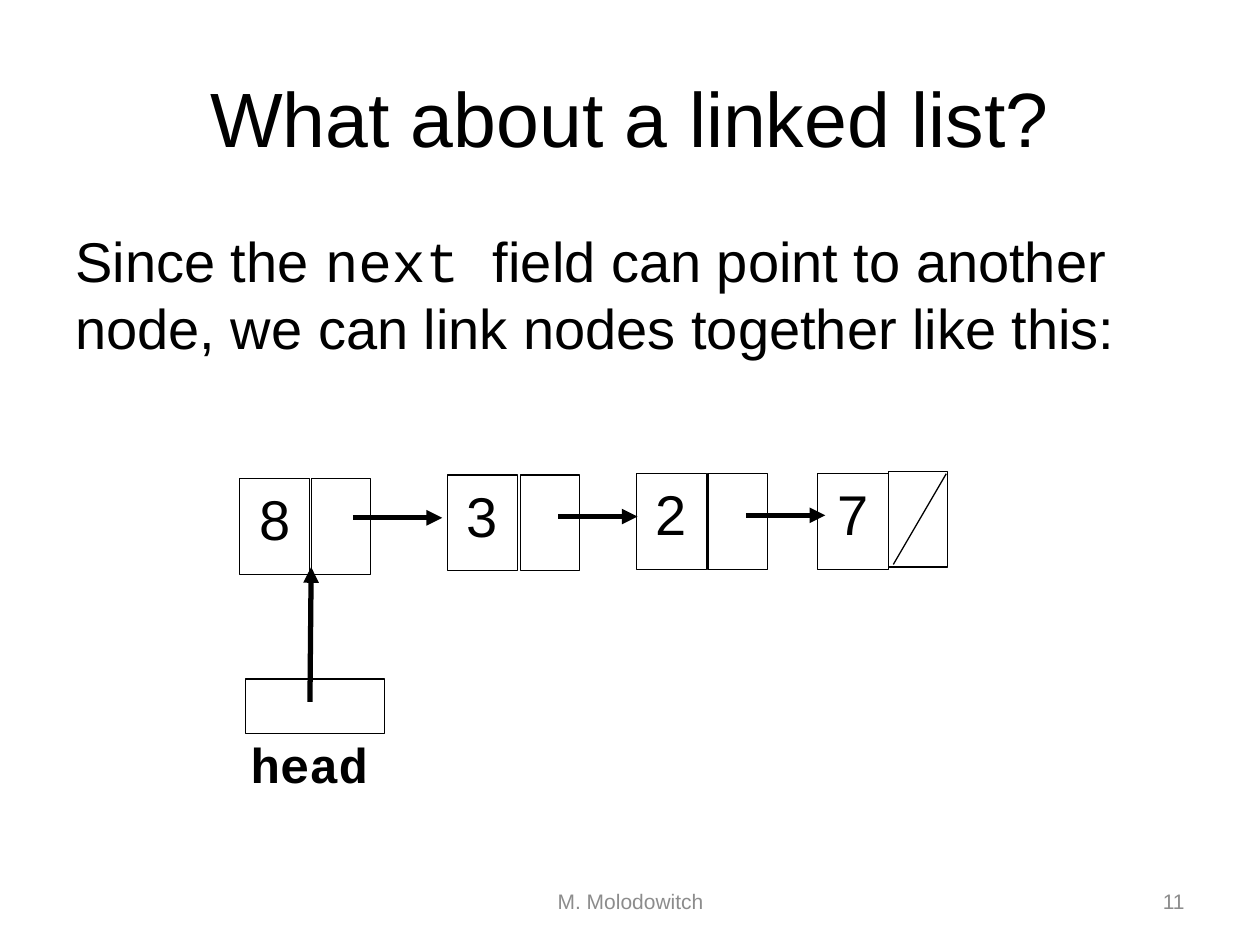
from lxml.etree import SubElement
from pptx import Presentation
from pptx.dml.color import RGBColor
from pptx.enum.shapes import MSO_CONNECTOR, MSO_SHAPE
from pptx.enum.text import MSO_ANCHOR, PP_ALIGN
from pptx.oxml.ns import qn
from pptx.util import Inches, Pt

BLACK = RGBColor(0, 0, 0)
WHITE = RGBColor(255, 255, 255)
GRAY = RGBColor(0x8C, 0x8C, 0x8C)

CELL_HEIGHT = 0.76
DATA_WIDTH = 0.56
NEXT_WIDTH = 0.47

presentation = Presentation()
presentation.slide_width = Inches(10)
presentation.slide_height = Inches(7.5)
slide = presentation.slides.add_slide(presentation.slide_layouts[6])


def add_text(text, left, top, width, height, size=32, color=BLACK, font="Arial",
             bold=False, align=PP_ALIGN.LEFT, anchor=MSO_ANCHOR.TOP,
             box_line=None, inset=None, space_before=0):
    """Add text, a string or (string, font) runs; box_line in points draws a box."""
    bounds = [Inches(value) for value in (left, top, width, height)]
    if box_line is None:
        shape = slide.shapes.add_textbox(*bounds)
    else:
        shape = slide.shapes.add_shape(MSO_SHAPE.RECTANGLE, *bounds)
        shape.shadow.inherit = False
        shape.fill.solid()
        shape.fill.fore_color.rgb = WHITE
        shape.line.color.rgb = BLACK
        shape.line.width = Pt(box_line)
    frame = shape.text_frame
    frame.word_wrap = True
    frame.vertical_anchor = anchor
    if inset is not None:
        frame.margin_left = frame.margin_right = Inches(inset)
        frame.margin_top = frame.margin_bottom = Inches(inset)
    paragraph = frame.paragraphs[0]
    paragraph.alignment = align
    paragraph.space_before = Pt(space_before)
    for content, name in [(text, font)] if isinstance(text, str) else text:
        run = paragraph.add_run()
        run.text = content
        run.font.name = name
        run.font.size = Pt(size)
        run.font.bold = bold
        run.font.color.rgb = color


def add_line(start, end, width, arrow=False):
    points = [Inches(value) for value in (*start, *end)]
    connector = slide.shapes.add_connector(MSO_CONNECTOR.STRAIGHT, *points)
    connector.line.color.rgb = BLACK
    connector.line.width = Pt(width)
    if arrow:
        SubElement(connector.line._get_or_add_ln(), qn("a:tailEnd"), type="triangle")
    SubElement(connector._element.spPr, qn("a:effectLst"))


add_text("What about a linked list?", 0.5, 0.3, 9, 1.25, size=44,
         align=PP_ALIGN.CENTER, anchor=MSO_ANCHOR.MIDDLE)
add_text([("Since the ", "Arial"), ("next ", "Courier New"),
          ("field can point to another node, we can link nodes together like this:",
           "Arial")],
         0.5, 1.75, 8.58, 1.75, space_before=6.4)
add_text("M. Molodowitch", 3.42, 6.95, 3.17, 0.4, size=12, color=GRAY,
         align=PP_ALIGN.CENTER, anchor=MSO_ANCHOR.MIDDLE)
add_text("11", 7.17, 6.95, 2.33, 0.4, size=12, color=GRAY,
         align=PP_ALIGN.RIGHT, anchor=MSO_ANCHOR.MIDDLE)

# Each node: value, data cell left and top, next cell left and top, line width
nodes = [
    ("8", 1.9, 3.8, 2.47, 3.8, 0.5),
    ("3", 3.55, 3.77, 4.13, 3.77, 0.75),
    ("2", 5.05, 3.76, 5.62, 3.76, 0.75),
    ("7", 6.49, 3.76, 7.05, 3.74, 0.75),
]
for value, data_left, data_top, next_left, next_top, line_width in nodes:
    add_text("", next_left, next_top, NEXT_WIDTH, CELL_HEIGHT, box_line=line_width)
    add_text(value, data_left, data_top, DATA_WIDTH, CELL_HEIGHT,
             align=PP_ALIGN.CENTER, box_line=line_width)

# The slash in the last node marks the end of the list
add_line((7.51, 3.76), (7.09, 4.48), 0.75)

add_text("", 1.95, 5.39, 1.1, 0.43, box_line=0.75)
add_text("head", 1.99, 5.83, 1.43, 0.38, size=28, font="Courier New", bold=True,
         inset=0)

add_line((2.46, 5.57), (2.47, 4.5), 3, arrow=True)
for start_x, end_x, y in [(2.8, 3.51, 4.11), (4.43, 5.06, 4.1), (5.92, 6.55, 4.09)]:
    add_line((start_x, y), (end_x, y), 3, arrow=True)

presentation.save("out.pptx")
